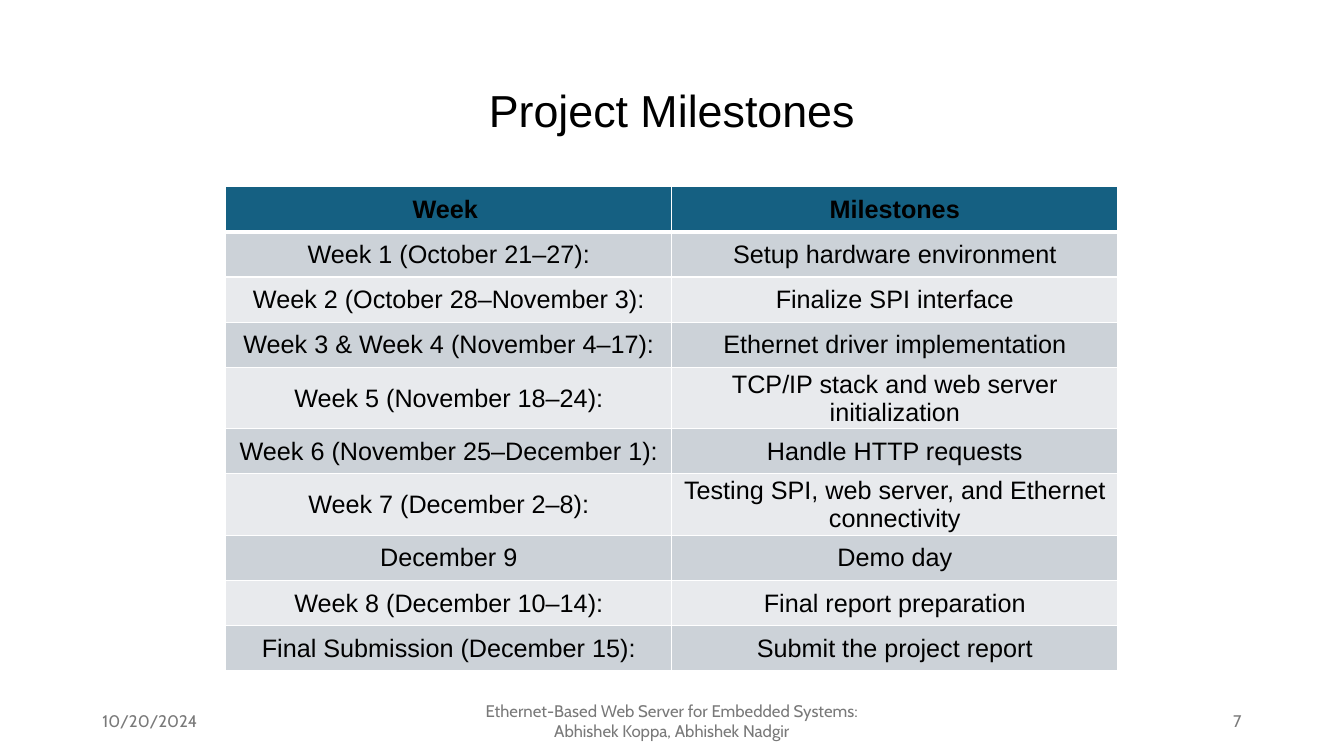
from lxml import etree
from pptx import Presentation
from pptx.dml.color import RGBColor
from pptx.enum.text import MSO_ANCHOR, PP_ALIGN
from pptx.oxml.ns import qn
from pptx.util import Cm, Pt

LEFT, CENTER, RIGHT = PP_ALIGN.LEFT, PP_ALIGN.CENTER, PP_ALIGN.RIGHT
MIDDLE = MSO_ANCHOR.MIDDLE

COLORS = {
    "text": "000000",
    "footer": "797979",
    "header": "156082",
    "band_dark": "CCD2D8",
    "band_light": "E8EAED",
    "border": "FFFFFF",
}

MILESTONES = [
    ("Week ", "Milestones"),
    ("Week 1 (October 21–27):", "Setup hardware environment"),
    ("Week 2 (October 28–November 3):", "Finalize SPI interface"),
    ("Week 3 & Week 4 (November 4–17):", "Ethernet driver implementation"),
    ("Week 5 (November 18–24):", "TCP/IP stack and web server initialization"),
    ("Week 6 (November 25–December 1):", "Handle HTTP requests"),
    ("Week 7 (December 2–8):", "Testing SPI, web server, and Ethernet connectivity"),
    ("December 9", "Demo day"),
    ("Week 8 (December 10–14):", "Final report preparation"),
    ("Final Submission (December 15):", "Submit the project report"),
]

# Footer parts: text, left, width, alignment
FOOTER = [
    ("10/20/2024", 2.33, 7.62, LEFT),
    ("Ethernet-Based Web Server for Embedded Systems: Abhishek Koppa, Abhishek Nadgir",
     11.22, 11.43, CENTER),
    ("7", 23.92, 7.62, RIGHT),
]


def rgb(name):
    return RGBColor.from_string(COLORS[name])


def add_run(p, text, size, font, color, bold=False):
    r = p.add_run()
    r.text = text
    r.font.size = Pt(size)
    r.font.name = font
    r.font.bold = bold
    r.font.color.rgb = rgb(color)


def add_text(s, text, box, size, font, color, align, spacing=None):
    tf = s.shapes.add_textbox(*(Cm(v) for v in box)).text_frame
    tf.word_wrap = True
    tf.vertical_anchor = MIDDLE
    p = tf.paragraphs[0]
    p.alignment = align
    p.line_spacing = spacing
    add_run(p, text, size, font, color)


def set_borders(cell, widths):
    """Draw the cell's sides; widths maps L, R, T and B to points."""
    tcPr = cell._tc.get_or_add_tcPr()
    for i, (side, width) in enumerate(widths.items()):
        ln = etree.Element(qn(f"a:ln{side}"), w=str(Pt(width)))
        fill = etree.SubElement(ln, qn("a:solidFill"))
        etree.SubElement(fill, qn("a:srgbClr"), val=COLORS["border"])
        tcPr.insert(i, ln)


def fill_cell(cell, text, row):
    cell.fill.solid()
    band = "band_dark" if row % 2 else "band_light"
    cell.fill.fore_color.rgb = rgb(band if row else "header")
    cell.margin_left = cell.margin_right = cell.margin_top = Cm(0.02)
    cell.margin_bottom = 0
    cell.vertical_anchor = MIDDLE
    p = cell.text_frame.paragraphs[0]
    p.alignment = CENTER
    add_run(p, text, 18, "Arial", "text", bold=row == 0)
    # A heavier rule separates the header from the body
    set_borders(cell, {"L": 1, "R": 1,
                       "T": 3 if row == 1 else 1,
                       "B": 3 if row == 0 else 1})


def add_milestones(s, rows, left, top, col_width, row_height):
    n_cols = len(rows[0])
    table = s.shapes.add_table(len(rows), n_cols, Cm(left), Cm(top),
                               Cm(col_width * n_cols),
                               Cm(row_height * len(rows))).table
    for i, row in enumerate(rows):
        for j, text in enumerate(row):
            fill_cell(table.cell(i, j), text, i)


def main():
    prs = Presentation()
    prs.slide_width, prs.slide_height = Cm(33.87), Cm(19.05)
    s = prs.slides.add_slide(prs.slide_layouts[6])

    # Title
    add_text(s, "Project Milestones", (2.33, 1.01, 29.21, 3.68),
             32, "Arial", "text", CENTER, 0.9)

    # Milestone table
    add_milestones(s, MILESTONES, 5.69, 4.7, 11.24, 1.14)

    # Footer
    for text, left, width, align in FOOTER:
        add_text(s, text, (left, 17.66, width, 1.01), 12, "Cabin", "footer", align)

    prs.save("out.pptx")


if __name__ == "__main__":
    main()
